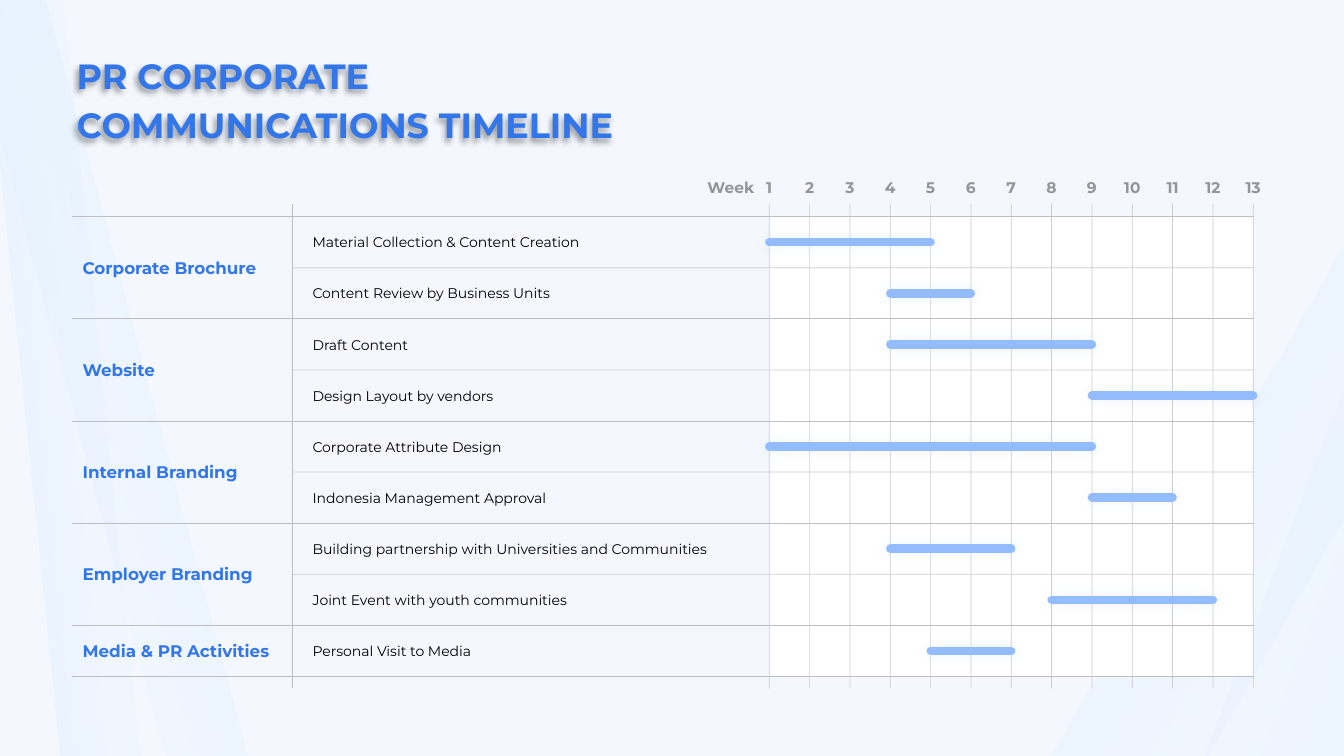
from lxml import etree
from pptx import Presentation
from pptx.dml.color import RGBColor
from pptx.enum.shapes import MSO_CONNECTOR, MSO_SHAPE
from pptx.enum.text import MSO_ANCHOR, MSO_AUTO_SIZE, PP_ALIGN
from pptx.oxml.ns import qn
from pptx.util import Inches, Pt

STRAIGHT, RECTANGLE = MSO_CONNECTOR.STRAIGHT, MSO_SHAPE.RECTANGLE
TOP, MIDDLE = MSO_ANCHOR.TOP, MSO_ANCHOR.MIDDLE
LEFT, CENTER, RIGHT = PP_ALIGN.LEFT, PP_ALIGN.CENTER, PP_ALIGN.RIGHT
NO_AUTOSIZE = MSO_AUTO_SIZE.NONE

BACKGROUND = RGBColor(0xF4, 0xF8, 0xFE)
BAND_DEEP = RGBColor(0x87, 0xCD, 0xFF)
BAND_PALE = RGBColor(0xEB, 0xF7, 0xFF)
WHITE = RGBColor(0xFF, 0xFF, 0xFF)
BLACK = RGBColor(0, 0, 0)
BLUE = RGBColor(0x33, 0x76, 0xE9)
BAR_BLUE = RGBColor(0x93, 0xBC, 0xFF)
BAR_GLOW = RGBColor(0x93, 0xBC, 0xFC)
GRID_GRAY = RGBColor(0xBE, 0xBF, 0xC1)
RULE_GRAY = RGBColor(0xBC, 0xBF, 0xC2)
WEEK_GRAY = RGBColor(0x93, 0x95, 0x98)
FONT = "Montserrat"

TABLE_LEFT, TASK_LEFT, TABLE_RIGHT = 0.71, 2.9, 12.44
PLOT_LEFT, PLOT_TOP, PLOT_HEIGHT = 7.63, 2.15, 4.56
GRID_TOP, GRID_BOTTOM = 2.02, 6.83
WEEKS, WEEK_WIDTH = 13, 0.4

BANDS = [
    (11.96, 0.32, 1.35, 29.8, False),
    (12.79, 0.71, 1.35, 20.7, True),
    (0.29, -0.2, 0.79, 354.2, False),
    (0.82, -0.29, 0.79, 345.1, True),
]
PLAN = [
    ("Corporate Brochure", [("Material Collection & Content Creation", 1, 5),
                            ("Content Review by Business Units", 4, 6)]),
    ("Website", [("Draft Content", 4, 9),
                 ("Design Layout by vendors", 9, 13)]),
    ("Internal Branding", [("Corporate Attribute Design", 1, 9),
                           ("Indonesia Management Approval", 9, 11)]),
    ("Employer Branding", [("Building partnership with Universities and Communities", 4, 7),
                           ("Joint Event with youth communities", 8, 12)]),
    ("Media & PR Activities", [("Personal Visit to Media", 5, 7)]),
]
ROWS = sum(len(tasks) for _, tasks in PLAN)
ROW_HEIGHT = PLOT_HEIGHT / ROWS


def week_x(week):
    """Return the horizontal position of a week line."""
    return PLOT_LEFT + (week - 1) * WEEK_WIDTH


def row_y(row):
    """Return the top of a row; halves give row centres."""
    return PLOT_TOP + row * ROW_HEIGHT


def set_alpha(color_element, percent):
    """Make a colour element partly transparent."""
    etree.SubElement(color_element, qn("a:alpha"), val=str(percent * 1000))


def add_effects(properties, color=None, alpha=0, blur=0, distance=0, direction=0):
    """Add an effect list, holding a shadow when a colour is given."""
    effects = etree.SubElement(properties, qn("a:effectLst"))
    if color is not None:
        shadow = etree.SubElement(
            effects, qn("a:outerShdw"), blurRad=str(Pt(blur)), dist=str(Pt(distance)),
            dir=str(direction * 60000), algn="ctr", rotWithShape="0")
        set_alpha(etree.SubElement(shadow, qn("a:srgbClr"), val=str(color)), alpha)


def add_band(slide, left, top, width, rotation, flipped):
    """Add one translucent slanted background band."""
    band = slide.shapes.add_shape(
        RECTANGLE, Inches(left), Inches(top), Inches(width), Inches(9.35))
    band.shadow.inherit = False
    band.line.fill.background()
    band.fill.gradient()
    band.fill.gradient_angle = 0
    for stop, color in zip(band.fill.gradient_stops, (BAND_DEEP, BAND_PALE)):
        stop.color.rgb = color
    for color_element, alpha in zip(band._element.spPr.iter(qn("a:srgbClr")), (20, 0)):
        set_alpha(color_element, alpha)
    band.rotation = rotation
    if flipped:
        band._element.spPr.find(qn("a:xfrm")).set("flipH", "1")


def add_line(slide, x1, y1, x2, y2, color, alpha=100):
    """Add a thin straight rule."""
    rule = slide.shapes.add_connector(
        STRAIGHT, Inches(x1), Inches(y1), Inches(x2), Inches(y2))
    rule.line.color.rgb = color
    rule.line.width = Pt(0.5)
    if alpha < 100:
        set_alpha(next(rule._element.spPr.iter(qn("a:srgbClr"))), alpha)
    add_effects(rule._element.spPr)


def add_bar(slide, start, end, y):
    """Add a round-ended bar between two weeks."""
    bar = slide.shapes.add_connector(
        STRAIGHT, Inches(week_x(start)), Inches(y), Inches(week_x(end)), Inches(y))
    bar.line.color.rgb = BAR_BLUE
    bar.line.width = Pt(6)
    bar._element.spPr.find(qn("a:ln")).set("cap", "rnd")
    add_effects(bar._element.spPr, BAR_GLOW, alpha=15, blur=8)
    return bar


def write_run(paragraph, text, size, color, bold):
    """Add one formatted run to a paragraph."""
    run = paragraph.add_run()
    run.text = text
    run.font.name = FONT
    run.font.size = Pt(size)
    run.font.bold = bold
    run.font.color.rgb = color


def add_label(slide, box, text, size, color, bold=True, align=LEFT, anchor=MIDDLE, insets=(0.1, 0.1)):
    """Add a one-line text box."""
    label = slide.shapes.add_textbox(*(Inches(length) for length in box))
    frame = label.text_frame
    frame.word_wrap = True
    frame.vertical_anchor = anchor
    frame.margin_left, frame.margin_right = (Inches(inset) for inset in insets)
    paragraph = frame.paragraphs[0]
    paragraph.alignment = align
    write_run(paragraph, text, size, color, bold)


def add_title(slide, text):
    """Place and format the slide title."""
    title = slide.shapes.title
    title.left, title.top, title.width, title.height = (
        Inches(length) for length in (0.66, 0.42, 6.15, 1.05))
    frame = title.text_frame
    frame.word_wrap = True
    frame.auto_size = NO_AUTOSIZE
    frame.vertical_anchor = TOP
    paragraph = frame.paragraphs[0]
    paragraph.alignment = LEFT
    paragraph.line_spacing = Pt(35)
    write_run(paragraph, text, 25, BLUE, True)
    add_effects(title._element.spPr, BLACK, alpha=40, blur=4, distance=3, direction=135)


def add_plot(slide):
    """Add the white plot area with its week lines and headings."""
    plot = slide.shapes.add_shape(
        RECTANGLE, Inches(PLOT_LEFT), Inches(PLOT_TOP),
        Inches((WEEKS - 1) * WEEK_WIDTH), Inches(PLOT_HEIGHT))
    plot.shadow.inherit = False
    plot.fill.solid()
    plot.fill.fore_color.rgb = WHITE
    plot.line.fill.background()
    add_label(slide, (6.81, 1.72, 0.77, 0.29), "Week", 11, WEEK_GRAY, align=RIGHT, anchor=TOP)
    for week in range(1, WEEKS + 1):
        x = week_x(week)
        add_line(slide, x, GRID_TOP, x, GRID_BOTTOM, GRID_GRAY, 75)
        add_label(slide, (x - WEEK_WIDTH / 2, 1.72, WEEK_WIDTH, 0.29), str(week), 11,
                  WEEK_GRAY, align=CENTER, anchor=TOP, insets=(0, 0))
    return plot


def add_category_rule(slide, y):
    """Add the rule that bounds a category, on both sides of the divider."""
    for start, end in ((TABLE_LEFT, TASK_LEFT), (TASK_LEFT, TABLE_RIGHT)):
        add_line(slide, start, y, end, y, RULE_GRAY)


def add_plan(slide, plot):
    """Add the categories with their tasks, rules and bars."""
    add_line(slide, TASK_LEFT, GRID_TOP, TASK_LEFT, GRID_BOTTOM, RULE_GRAY)
    row = 0
    for category, tasks in PLAN:
        add_category_rule(slide, row_y(row))
        add_label(slide, (0.72, row_y(row), 2.18, len(tasks) * ROW_HEIGHT), category, 12,
                  BLUE, insets=(0.1, 0))
        for index, (task, start, end) in enumerate(tasks):
            y = row_y(row)
            if index:
                add_line(slide, TASK_LEFT, y, TABLE_RIGHT, y, GRID_GRAY, 75)
            add_label(slide, (TASK_LEFT, y, PLOT_LEFT - TASK_LEFT, ROW_HEIGHT), task, 10,
                      BLACK, bold=False, insets=(0.2, 0.1))
            bar = add_bar(slide, start, end, row_y(row + 0.5))
            if start == 1 and row == ROWS // 2:
                bar.begin_connect(plot, 1)
            row += 1
    add_category_rule(slide, row_y(ROWS))


def main():
    """Build and save the timeline slide."""
    deck = Presentation()
    deck.slide_width, deck.slide_height = Inches(13.33), Inches(7.5)
    slide = deck.slides.add_slide(deck.slide_layouts[5])
    slide.background.fill.solid()
    slide.background.fill.fore_color.rgb = BACKGROUND
    for band in BANDS:
        add_band(slide, *band)
    add_title(slide, "PR CORPORATE COMMUNICATIONS TIMELINE")
    add_plan(slide, add_plot(slide))
    deck.save("out.pptx")


if __name__ == "__main__":
    main()
